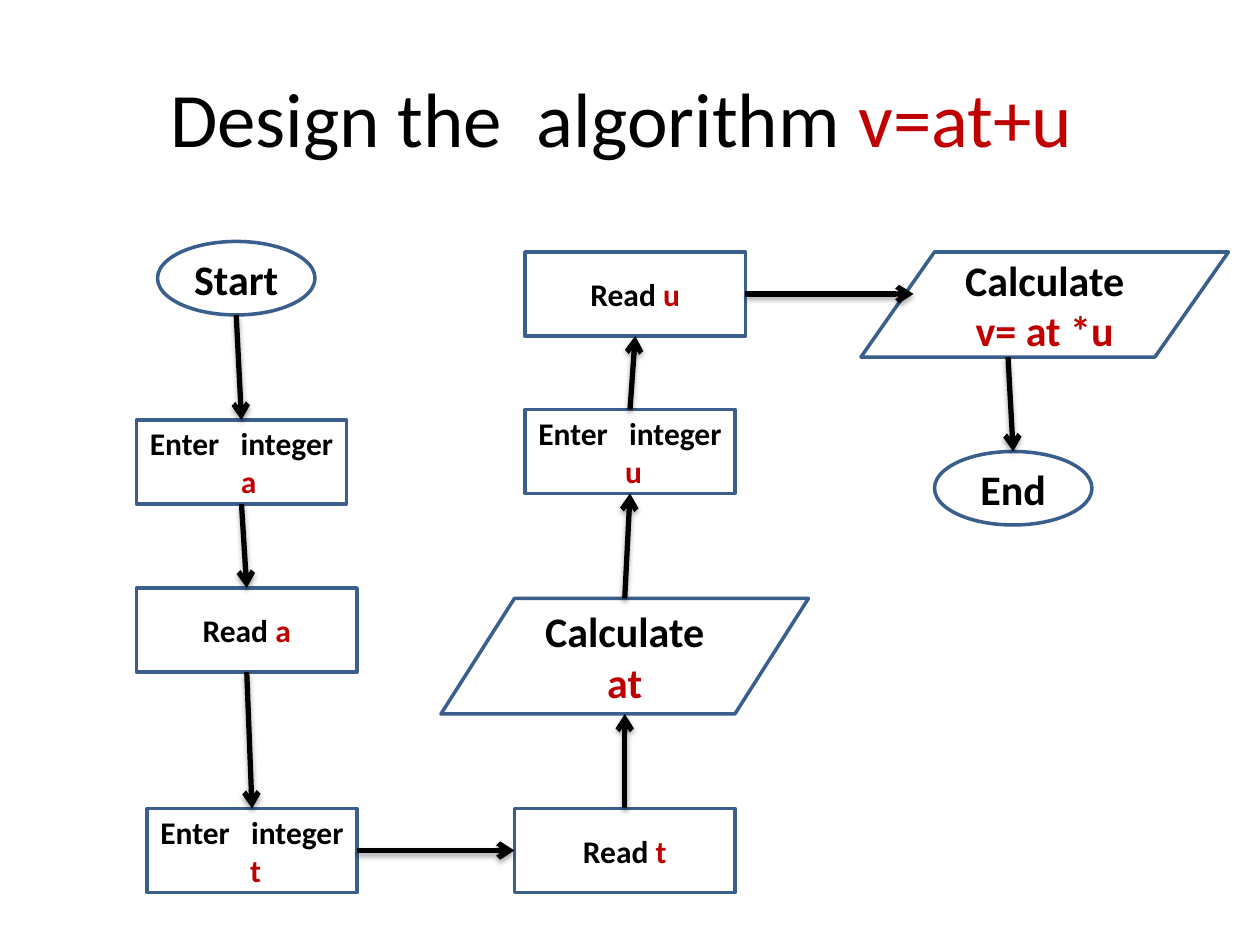
from dataclasses import dataclass

import lxml.etree
import pptx
import pptx.dml.color
import pptx.enum.shapes
import pptx.enum.text
import pptx.oxml.ns
import pptx.util

Pt = pptx.util.Pt
RGB = pptx.dml.color.RGBColor.from_string
MSO_SHAPE = pptx.enum.shapes.MSO_SHAPE
qn = pptx.oxml.ns.qn


@dataclass(frozen=True)
class Theme:
    font: str = "Calibri"
    text: str = "000000"
    accent: str = "C00000"
    outline: str = "3A5F8C"
    arrow: str = "000000"
    title_size: int = 44
    large: int = 24
    small: int = 18
    outline_width: int = 2
    arrow_width: int = 3


THEME = Theme()

# Points on a shape's edge, as fractions of its width and height
TOP, BOTTOM, LEFT, RIGHT = (0.5, 0), (0.5, 1), (0, 0.5), (1, 0.5)
BOTTOM_SLANTED = (0.4, 1)


def write_text(sp, plain, accent, size, bold):
    """Write one centred line whose last part is in the accent colour."""
    tf = sp.text_frame
    tf.word_wrap = True
    tf.vertical_anchor = pptx.enum.text.MSO_ANCHOR.MIDDLE
    p = tf.paragraphs[0]
    p.alignment = pptx.enum.text.PP_ALIGN.CENTER
    for text, color in ((plain, THEME.text), (accent, THEME.accent)):
        if text:
            r = p.add_run()
            r.text = text
            r.font.name = THEME.font
            r.font.size = Pt(size)
            r.font.bold = bold
            r.font.color.rgb = RGB(color)


def add_title(s, plain, accent):
    sp = s.shapes.add_textbox(Pt(36), Pt(21.6), Pt(648), Pt(90))
    write_text(sp, plain, accent, THEME.title_size, False)


def add_node(s, kind, x, y, w, h, plain, accent, size):
    sp = s.shapes.add_shape(kind, Pt(x), Pt(y), Pt(w), Pt(h))
    sp.shadow.inherit = False
    sp.fill.background()
    sp.line.color.rgb = RGB(THEME.outline)
    sp.line.width = Pt(THEME.outline_width)
    write_text(sp, plain, accent, size, True)
    return sp


def add_terminal(s, x, y, text):
    return add_node(s, MSO_SHAPE.OVAL, x, y, 90, 42, text, "", THEME.large)


def add_enter(s, x, y, plain, variable):
    return add_node(s, MSO_SHAPE.RECTANGLE, x, y, 120, 48, plain, variable, THEME.small)


def add_read(s, x, y, variable):
    return add_node(s, MSO_SHAPE.RECTANGLE, x, y, 126, 48, "Read ", variable, THEME.small)


def add_calculate(s, x, y, h, formula):
    return add_node(s, MSO_SHAPE.FLOWCHART_DATA, x, y, 210, h,
                    "Calculate ", formula, THEME.large)


def edge_point(sp, edge):
    fx, fy = edge
    return int(sp.left + fx * sp.width), int(sp.top + fy * sp.height)


def add_shadow(cxn):
    sub = lxml.etree.SubElement
    effects = sub(cxn._element.spPr, qn("a:effectLst"))
    shadow = sub(effects, qn("a:outerShdw"), blurRad=str(Pt(3.1)), dist=str(Pt(1.8)),
                 dir="5400000", rotWithShape="0")
    color = sub(shadow, qn("a:srgbClr"), val=THEME.arrow)
    sub(color, qn("a:alpha"), val="35000")


def add_arrow(s, start, end):
    cxn = s.shapes.add_connector(pptx.enum.shapes.MSO_CONNECTOR.STRAIGHT, *start, *end)
    cxn.line.color.rgb = RGB(THEME.arrow)
    cxn.line.width = Pt(THEME.arrow_width)
    lxml.etree.SubElement(cxn.line._get_or_add_ln(), qn("a:tailEnd"), type="arrow")
    add_shadow(cxn)


def main():
    prs = pptx.Presentation()
    prs.slide_width, prs.slide_height = Pt(720), Pt(540)
    s = prs.slides.add_slide(prs.slide_layouts[6])

    add_title(s, "Design the  algorithm ", "v=at+u ")

    start = add_terminal(s, 90, 138, "Start")
    enter_a = add_enter(s, 78, 240, "Enter   integer   ", "a")
    read_a = add_read(s, 78, 336, "a")
    enter_t = add_enter(s, 84, 462, "Enter   integer  ", "t")
    read_t = add_read(s, 294, 462, "t")
    calc_at = add_calculate(s, 252, 342, 66, "at")
    enter_u = add_enter(s, 300, 234, "Enter   integer  ", "u")
    read_u = add_read(s, 300, 144, "u")
    calc_v = add_calculate(s, 492, 144, 60, "v= at *u")
    end = add_terminal(s, 534, 258, "End")

    for source, leave, target, arrive in (
        (start, BOTTOM, enter_a, TOP),
        (enter_a, BOTTOM, read_a, TOP),
        (read_a, BOTTOM, enter_t, TOP),
        (enter_t, RIGHT, read_t, LEFT),
        (read_t, TOP, calc_at, BOTTOM),
        (calc_at, TOP, enter_u, BOTTOM),
        (enter_u, TOP, read_u, BOTTOM),
        (calc_v, BOTTOM_SLANTED, end, TOP),
    ):
        add_arrow(s, edge_point(source, leave), edge_point(target, arrive))

    # Level arrow that ends just inside the slanted side
    x, y = edge_point(read_u, RIGHT)
    add_arrow(s, (x, y), (calc_v.left + Pt(30), y))

    prs.save("out.pptx")


if __name__ == "__main__":
    main()
